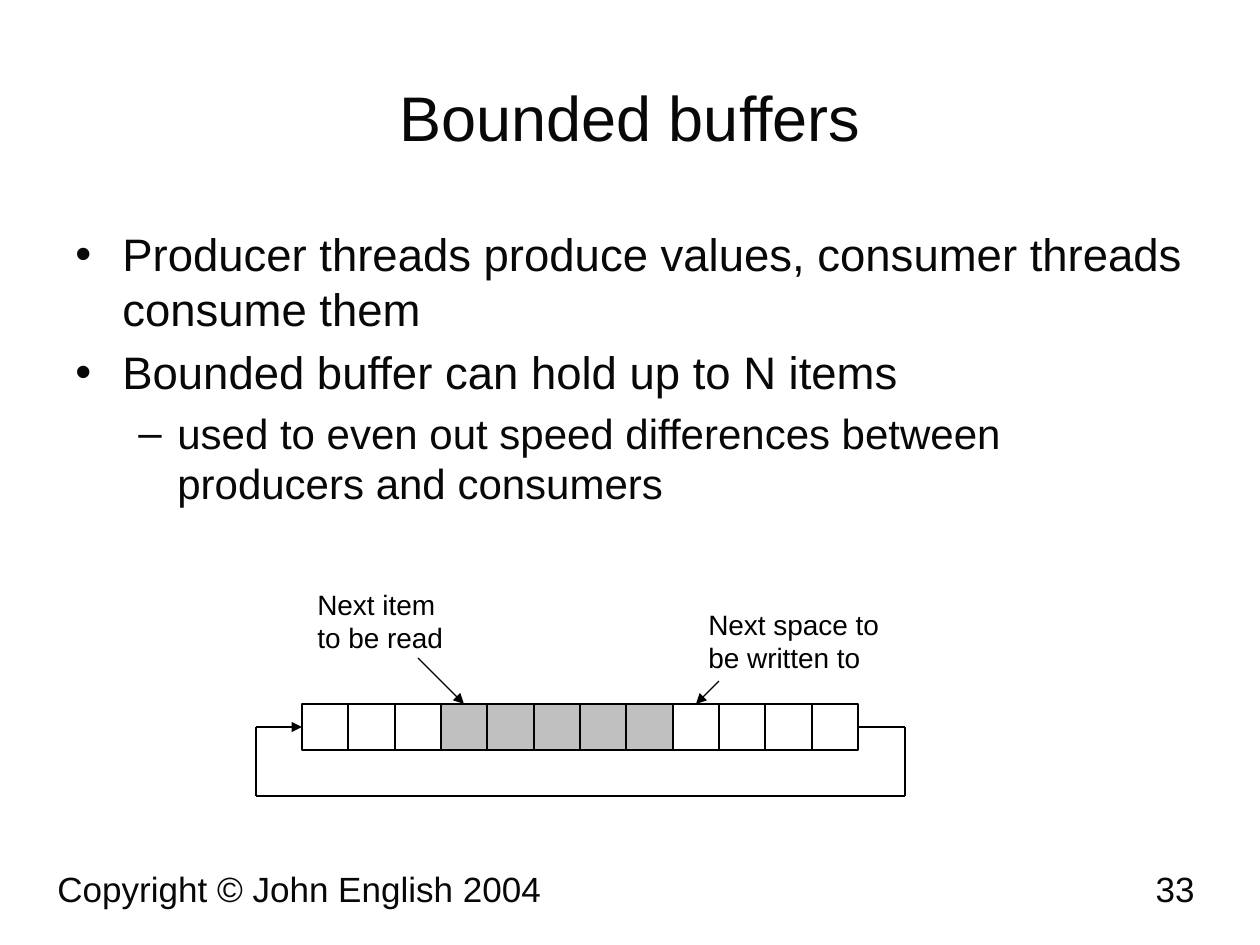
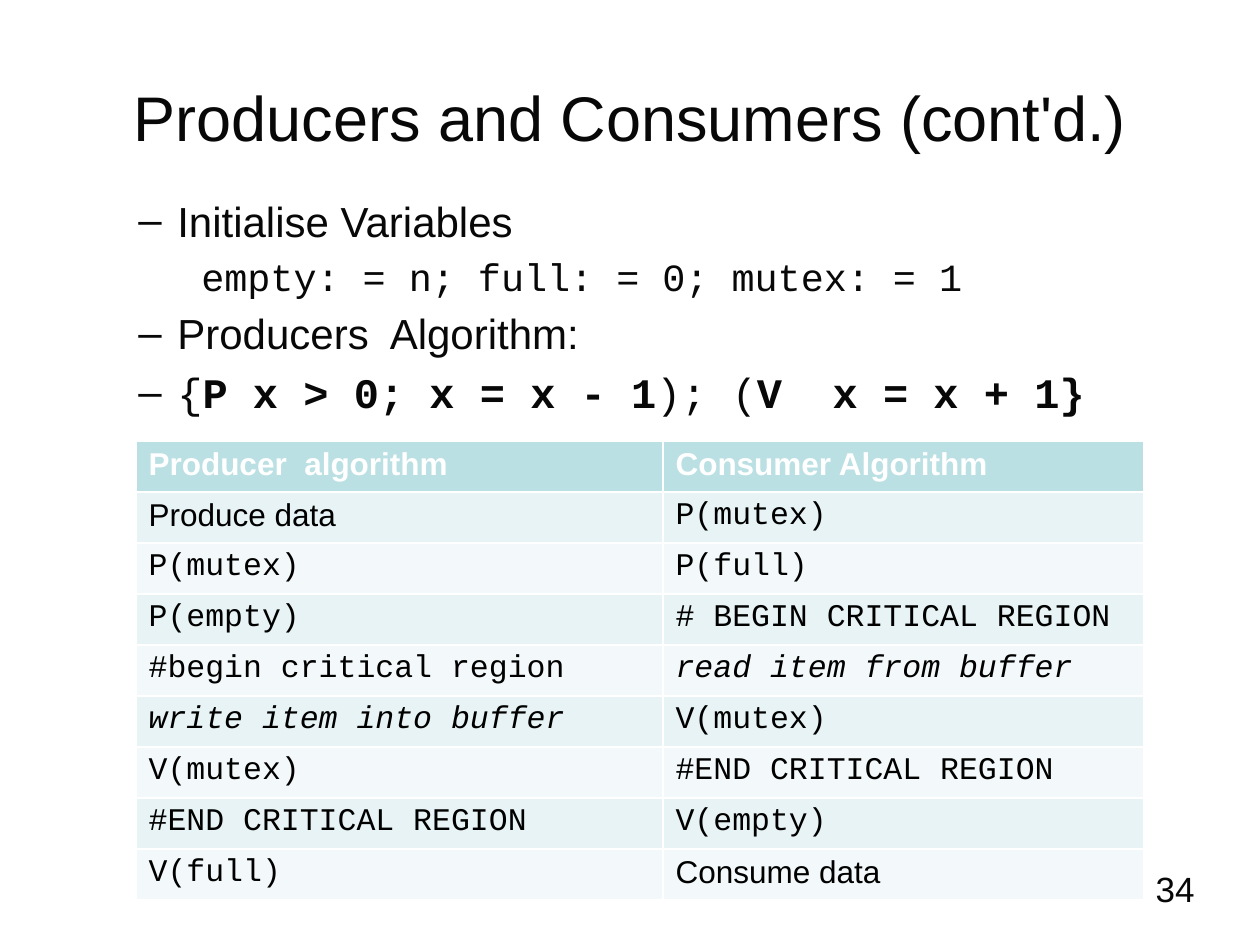
from dataclasses import dataclass
from lxml.etree import SubElement
from pptx import Presentation
from pptx.dml.color import RGBColor
from pptx.enum.shapes import MSO_CONNECTOR, MSO_SHAPE
from pptx.enum.text import MSO_ANCHOR, PP_ALIGN
from pptx.oxml.ns import qn
from pptx.util import Emu, Pt


@dataclass(frozen=True)
class Theme:
    sans: str = "Arial"
    mono: str = "Courier New"
    text: str = "080808"
    black: str = "000000"
    white: str = "FFFFFF"
    occupied: str = "C0C0C0"
    header: str = "BBE0E3"
    bands: tuple = ("E7F3F4", "F3F9FA")
    title_size: int = 36
    footer_size: int = 20
    label_size: int = 16
    table_size: int = 18
    line_width: float = 0.75


THEME = Theme()
PX_PER_INCH = 126
PAGE_SIZE = (1260, 945)

# Outline levels: left margin and hanging indent in px, bullet
LEVELS = [(47, 47, "•"), (102, 39, "–"), (158, 32, None)]

# Outline lines: level, size, runs of (text, font, bold)
BUFFER_POINTS = [
    (0, 26, [("Producer threads produce values, consumer threads consume them",
              THEME.sans, False)]),
    (0, 26, [("Bounded buffer can hold up to N items", THEME.sans, False)]),
    (1, 24, [("used to even out speed differences between producers and consumers",
              THEME.sans, False)]),
]
ALGORITHM_POINTS = [
    (1, 24, [("Initialise Variables", THEME.sans, False)]),
    (2, 22, [("empty: = n; full: = 0; mutex: = 1", THEME.mono, False)]),
    (1, 24, [("Producers  Algorithm:", THEME.sans, False)]),
    (1, 24, [("{", THEME.mono, False), ("P x > 0; x = x - 1", THEME.mono, True),
             ("); (", THEME.mono, False), ("V  x = x + 1}", THEME.mono, True)]),
]

CELL_COUNT = 12
OCCUPIED_CELLS = range(3, 8)
BUFFER_BOX = (302, 704, 556, 46)
LOOP_LEFT, LOOP_RIGHT, LOOP_BOTTOM = 256, 905, 796
# Pointers: label, label box, arrow start, index of the cell pointed at
POINTERS = [
    ("Next item to be read", (305, 581, 163, 77), (418, 658), 3),
    ("Next space to be written to", (696, 601, 212, 83), (719, 681), 8),
]

ALGORITHM_HEADER = ("Producer  algorithm", "Consumer Algorithm")
ALGORITHM_STEPS = [
    ("Produce data", "P(mutex)"),
    ("P(mutex)", "P(full)"),
    ("P(empty)", "# BEGIN CRITICAL REGION"),
    ("#begin critical region", "read item from buffer"),
    ("write item into buffer", "V(mutex)"),
    ("V(mutex)", "#END CRITICAL REGION"),
    ("#END CRITICAL REGION", "V(empty)"),
    ("V(full)", "Consume data"),
]
PROSE_STEPS = {"Produce data", "Consume data"}
BUFFER_STEPS = {"read item from buffer", "write item into buffer"}
TABLE_ORIGIN = (136, 441)
COLUMN_WIDTHS = (527, 481)
ROW_HEIGHT = 51


def px(length):
    return Emu(round(length * 914400 / PX_PER_INCH))


def scaled(lengths):
    return [px(length) for length in lengths]


def style_run(span, size, color, font=THEME.sans, bold=False, italic=False):
    span.font.name = font
    span.font.size = Pt(size)
    span.font.color.rgb = RGBColor.from_string(color)
    span.font.bold = bold
    span.font.italic = italic


def add_text(page, text, bounds, size, color=THEME.text,
             align=PP_ALIGN.LEFT, anchor=MSO_ANCHOR.TOP):
    box = page.shapes.add_textbox(*scaled(bounds))
    frame = box.text_frame
    frame.word_wrap = True
    frame.vertical_anchor = anchor
    frame.text = text
    para = frame.paragraphs[0]
    para.alignment = align
    style_run(para.runs[0], size, color)


def add_title(page, text):
    add_text(page, text, (63, 38, 1134, 157), THEME.title_size,
             align=PP_ALIGN.CENTER, anchor=MSO_ANCHOR.MIDDLE)


def add_page_number(page, number):
    add_text(page, str(number), (914, 861, 293, 65), THEME.footer_size,
             align=PP_ALIGN.RIGHT)


def format_level(para, level):
    """Set the indent, bullet and proportional spacing of an outline level."""
    margin, hanging, bullet = LEVELS[level]
    para.level = level
    properties = para._p.get_or_add_pPr()
    properties.set("marL", str(px(margin)))
    properties.set("indent", str(-px(hanging)))
    spacing = SubElement(properties, qn("a:spcBef"))
    SubElement(spacing, qn("a:spcPct")).set("val", "20000")
    if bullet:
        SubElement(properties, qn("a:buFont")).set("typeface", THEME.sans)
        SubElement(properties, qn("a:buChar")).set("char", bullet)
    else:
        SubElement(properties, qn("a:buNone"))


def add_outline(page, points, bounds):
    frame = page.shapes.add_textbox(*scaled(bounds)).text_frame
    frame.word_wrap = True
    for index, (level, size, runs) in enumerate(points):
        para = frame.add_paragraph() if index else frame.paragraphs[0]
        format_level(para, level)
        for text, font, bold in runs:
            span = para.add_run()
            span.text = text
            style_run(span, size, THEME.text, font, bold)


def add_line(page, start, end, arrow=False):
    line = page.shapes.add_connector(MSO_CONNECTOR.STRAIGHT, *scaled(start + end))
    line.line.color.rgb = RGBColor.from_string(THEME.black)
    line.line.width = Pt(THEME.line_width)
    if arrow:
        SubElement(line.line._get_or_add_ln(), qn("a:tailEnd")).set("type", "triangle")
    SubElement(line._element.spPr, qn("a:effectLst"))
    return line


def add_cells(page):
    left, top, width, height = BUFFER_BOX
    edges = [round(left + width * i / CELL_COUNT) for i in range(CELL_COUNT + 1)]
    cells = []
    for index, (start, end) in enumerate(zip(edges, edges[1:])):
        cell = page.shapes.add_shape(
            MSO_SHAPE.RECTANGLE, *scaled((start, top, end - start, height)))
        cell.shadow.inherit = False
        cell.fill.solid()
        cell.fill.fore_color.rgb = RGBColor.from_string(
            THEME.occupied if index in OCCUPIED_CELLS else THEME.white)
        cell.line.color.rgb = RGBColor.from_string(THEME.black)
        cell.line.width = Pt(THEME.line_width)
        cells.append(cell)
    return cells


def add_loop(page, cells):
    """Lead from the last cell, under the buffer, back to the first."""
    left, top, width, height = BUFFER_BOX
    middle = top + height // 2
    corners = [(left + width, middle), (LOOP_RIGHT, middle), (LOOP_RIGHT, LOOP_BOTTOM),
               (LOOP_LEFT, LOOP_BOTTOM), (LOOP_LEFT, middle), (left, middle)]
    lines = [add_line(page, start, end, arrow=end == corners[-1])
             for start, end in zip(corners, corners[1:])]
    lines[0].begin_connect(cells[-1], 3)
    lines[-1].end_connect(cells[0], 1)


def add_buffer_diagram(page):
    cells = add_cells(page)
    left, top, width, _ = BUFFER_BOX
    for label, bounds, start, index in POINTERS:
        add_text(page, label, bounds, THEME.label_size, THEME.black)
        target = (left + round(width * (index + 0.5) / CELL_COUNT), top)
        add_line(page, start, target, arrow=True).end_connect(cells[index], 0)
    add_loop(page, cells)


def fill_cell(cell, text, fill, **style):
    cell.fill.solid()
    cell.fill.fore_color.rgb = RGBColor.from_string(fill)
    cell.text_frame.text = text
    style_run(cell.text_frame.paragraphs[0].runs[0], THEME.table_size, **style)


def add_algorithm_table(page):
    row_count = len(ALGORITHM_STEPS) + 1
    size = (sum(COLUMN_WIDTHS), ROW_HEIGHT * row_count)
    table = page.shapes.add_table(
        row_count, len(COLUMN_WIDTHS), *scaled(TABLE_ORIGIN + size)).table
    for column, width in zip(table.columns, COLUMN_WIDTHS):
        column.width = px(width)
    for row in table.rows:
        row.height = px(ROW_HEIGHT)
    for column, text in enumerate(ALGORITHM_HEADER):
        fill_cell(table.cell(0, column), text, THEME.header,
                  color=THEME.white, bold=True)
    for index, steps in enumerate(ALGORITHM_STEPS):
        for column, text in enumerate(steps):
            fill_cell(table.cell(index + 1, column), text, THEME.bands[index % 2],
                      color=THEME.black, italic=text in BUFFER_STEPS,
                      font=THEME.sans if text in PROSE_STEPS else THEME.mono)


def add_page(deck, title, number):
    page = deck.slides.add_slide(deck.slide_layouts[6])
    add_title(page, title)
    add_page_number(page, number)
    return page


def main():
    deck = Presentation()
    deck.slide_width, deck.slide_height = scaled(PAGE_SIZE)

    page = add_page(deck, "Bounded buffers", 33)
    add_text(page, "Copyright © John English 2004", (45, 861, 798, 65),
             THEME.footer_size)
    add_outline(page, BUFFER_POINTS, (63, 220, 1134, 624))
    add_buffer_diagram(page)

    page = add_page(deck, "Producers and Consumers (cont'd.)", 34)
    add_outline(page, ALGORITHM_POINTS, (63, 189, 1134, 724))
    add_algorithm_table(page)

    deck.save("out.pptx")


if __name__ == "__main__":
    main()
